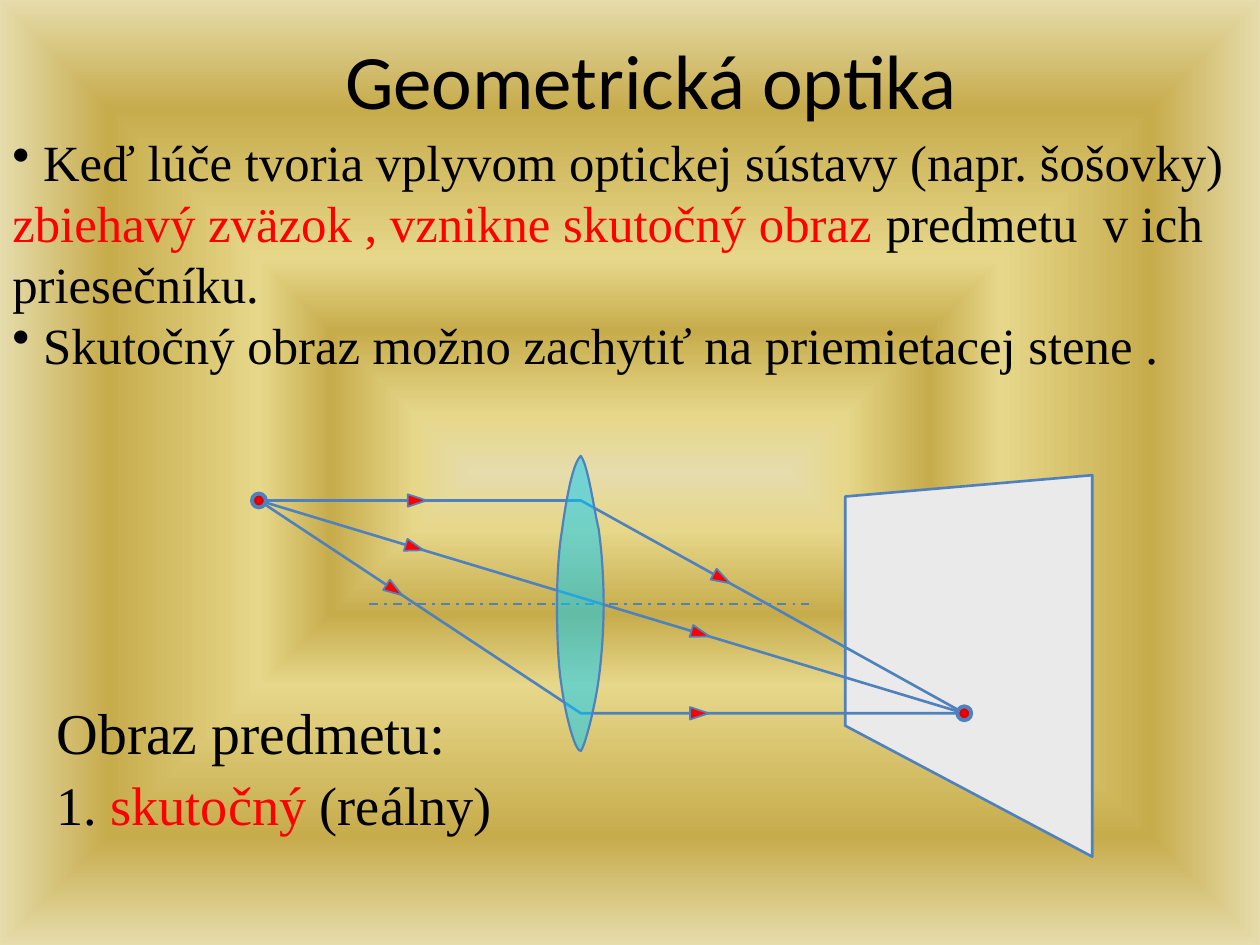
from math import atan2, degrees

from lxml import etree
from pptx import Presentation
from pptx.dml.color import RGBColor
from pptx.enum.dml import MSO_LINE
from pptx.enum.shapes import MSO_CONNECTOR, MSO_SHAPE
from pptx.enum.text import MSO_ANCHOR, PP_ALIGN
from pptx.oxml.ns import qn
from pptx.util import Cm, Pt

STRAIGHT = MSO_CONNECTOR.STRAIGHT
TRIANGLE = MSO_SHAPE.ISOSCELES_TRIANGLE
OVAL = MSO_SHAPE.OVAL
DASH_DOT = MSO_LINE.DASH_DOT
MIDDLE = MSO_ANCHOR.MIDDLE
CENTER = PP_ALIGN.CENTER


class Theme:
    ink = "000000"
    red = "FF0000"
    blue = "4F81BD"
    screen = "EAEAEA"
    glass = "00CCFF"
    dot = [(0, "FF0000"), (100, "B60000")]
    gold = [(0, "E6DCAC"), (12, "E6D78A"), (30, "C7AC4C"),
            (45, "E6D78A"), (77, "C7AC4C"), (100, "E6DCAC")]
    title_font = "Calibri"
    body_font = "Times New Roman"
    title_size = 44
    body_size = 29
    heading_size = 33
    item_size = 31


class SlideBuilder:
    def __init__(self, theme, s):
        self.theme = theme
        self.s = s
        self.shapes = s.shapes

    def gradient(self, fill, element, stops):
        fill.gradient()
        grad = element.find(".//" + qn("a:gradFill"))
        for child in list(grad):
            grad.remove(child)
        gs_list = etree.SubElement(grad, qn("a:gsLst"))
        for position, color in stops:
            gs = etree.SubElement(gs_list, qn("a:gs"), pos=str(position * 1000))
            etree.SubElement(gs, qn("a:srgbClr"), val=color)
        shade = etree.SubElement(grad, qn("a:path"), {"path": "shape"})
        etree.SubElement(shade, qn("a:fillToRect"),
                         {side: "50000" for side in "ltrb"})

    def background(self):
        self.gradient(self.s.background.fill, self.s.element, self.theme.gold)

    def style(self, sp, fill, width):
        sp.shadow.inherit = False
        if fill is None:
            sp.fill.background()
        else:
            sp.fill.solid()
            sp.fill.fore_color.rgb = RGBColor.from_string(fill)
        sp.line.color.rgb = RGBColor.from_string(self.theme.blue)
        sp.line.width = Pt(width)

    def text(self, x, y, w, h, paragraphs, font, wrap=True, anchor=None,
             align=None, bullet=None, after=None):
        tf = self.shapes.add_textbox(Cm(x), Cm(y), Cm(w), Cm(h)).text_frame
        tf.word_wrap = wrap
        if anchor is not None:
            tf.vertical_anchor = anchor
        for i, (size, runs) in enumerate(paragraphs):
            p = tf.add_paragraph() if i else tf.paragraphs[0]
            if bullet:
                pPr = p._p.get_or_add_pPr()
                pPr.set("marL", "0")
                pPr.set("indent", "0")
                etree.SubElement(pPr, qn("a:buChar"), char=bullet)
            p.alignment = align
            p.space_after = after
            for words, color in runs:
                r = p.add_run()
                r.text = words
                r.font.name = font
                r.font.size = Pt(size)
                r.font.color.rgb = RGBColor.from_string(color)

    def line(self, start, end, width, dash=None):
        c = self.shapes.add_connector(STRAIGHT, *map(Cm, start + end))
        c.line.color.rgb = RGBColor.from_string(self.theme.blue)
        c.line.width = Pt(width)
        c.line.dash_style = dash
        etree.SubElement(c._element.spPr, qn("a:effectLst"))

    def outline(self, points, width, fill=None, closed=True, alpha=None):
        first, *rest = [(Cm(x), Cm(y)) for x, y in points]
        builder = self.shapes.build_freeform(*first)
        builder.add_line_segments(rest, close=closed)
        sp = builder.convert_to_shape()
        self.style(sp, fill, width)
        if alpha:
            color = sp._element.spPr.find(qn("a:solidFill"))[0]
            etree.SubElement(color, qn("a:alpha"), val=str(alpha * 1000))

    def arrowhead(self, start, end, x, w=0.25, h=0.38):
        dx, dy = end[0] - start[0], end[1] - start[1]
        y = start[1] + (x - start[0]) * dy / dx
        sp = self.shapes.add_shape(TRIANGLE, Cm(x - w / 2), Cm(y - h / 2),
                                   Cm(w), Cm(h))
        sp.rotation = 90 + degrees(atan2(dy, dx))
        self.style(sp, self.theme.red, 1)

    def ray(self, points, arrow_xs):
        if len(points) == 2:
            self.line(*points, 1.5)
        else:
            self.outline(points, 1.5, closed=False)
        for x in arrow_xs:
            for start, end in zip(points, points[1:]):
                if start[0] < x < end[0]:
                    self.arrowhead(start, end, x)

    def dot(self, center, d=0.28):
        x, y = center
        sp = self.shapes.add_shape(OVAL, Cm(x - d / 2), Cm(y - d / 2),
                                   Cm(d), Cm(d))
        self.style(sp, self.theme.red, 2.25)
        self.gradient(sp.fill, sp._element, self.theme.dot)


def bezier_points(nodes, steps=12):
    points = [nodes[0]]
    for i in range(0, len(nodes) - 1, 3):
        a, b, c, d = nodes[i:i + 4]
        for k in range(1, steps + 1):
            t = k / steps
            u = 1 - t
            points.append(tuple(
                u**3 * a[j] + 3 * u * u * t * b[j] + 3 * u * t * t * c[j]
                + t**3 * d[j] for j in (0, 1)))
    return points


def main():
    prs = Presentation()
    prs.slide_width, prs.slide_height = Cm(25.4), Cm(19.05)
    t = Theme()
    b = SlideBuilder(t, prs.slides.add_slide(prs.slide_layouts[6]))
    b.background()

    b.text(0.89, 13.92, 9.58, 3.1, [
        (t.heading_size, [("Obraz predmetu:", t.ink)]),
        (t.item_size, [("1. ", t.ink), ("skutočný", t.red),
                       (" (reálny)", t.ink)]),
    ], t.body_font, wrap=False, after=Pt(3))
    b.text(0, 2.51, 25.4, 5.21, [
        (t.body_size, [
            (" Keď lúče tvoria vplyvom optickej sústavy (napr. šošovky) ", t.ink),
            ("zbiehavý zväzok , vznikne skutočný obraz ", t.red),
            ("predmetu  v ich priesečníku.", t.ink)]),
        (t.body_size, [
            (" Skutočný obraz možno zachytiť na priemietacej stene .", t.ink)]),
    ], t.body_font, bullet="•")

    b.line((7.44, 12.17), (16.31, 12.17), 1.25, DASH_DOT)
    b.outline([(17.04, 10.01), (22.02, 9.58), (22.02, 17.27), (17.04, 14.63)],
              1.5, t.screen)

    source, image, lens_x = (5.22, 10.09), (19.44, 14.38), 11.71
    b.ray([source, image], [8.36, 14.12])
    b.ray([source, (lens_x, source[1]), image], [8.41, 14.55])
    b.ray([source, (lens_x, image[1]), image], [7.95, 14.1])
    for center in (source, image):
        b.dot(center)

    lens = [(11.71, 9.19), (11.53, 9.35), (11.4, 10.19), (11.33, 10.69),
            (11.25, 11.2), (11.23, 11.71), (11.23, 12.24),
            (11.23, 12.78), (11.25, 13.41), (11.33, 13.89),
            (11.4, 14.38), (11.58, 15.14), (11.71, 15.14),
            (11.79, 15.04), (11.96, 14.38), (12.04, 13.89),
            (12.12, 13.41), (12.17, 12.75), (12.17, 12.22),
            (12.17, 11.68), (12.14, 11.18), (12.07, 10.67),
            (11.96, 10.19), (11.86, 9.4), (11.71, 9.19)]
    b.outline(bezier_points(lens), 1.25, t.glass, alpha=50)

    b.text(1.7, 0, 22.86, 3.18,
           [(t.title_size, [("Geometrická optika", t.ink)])],
           t.title_font, anchor=MIDDLE, align=CENTER)
    prs.save("out.pptx")


if __name__ == "__main__":
    main()
